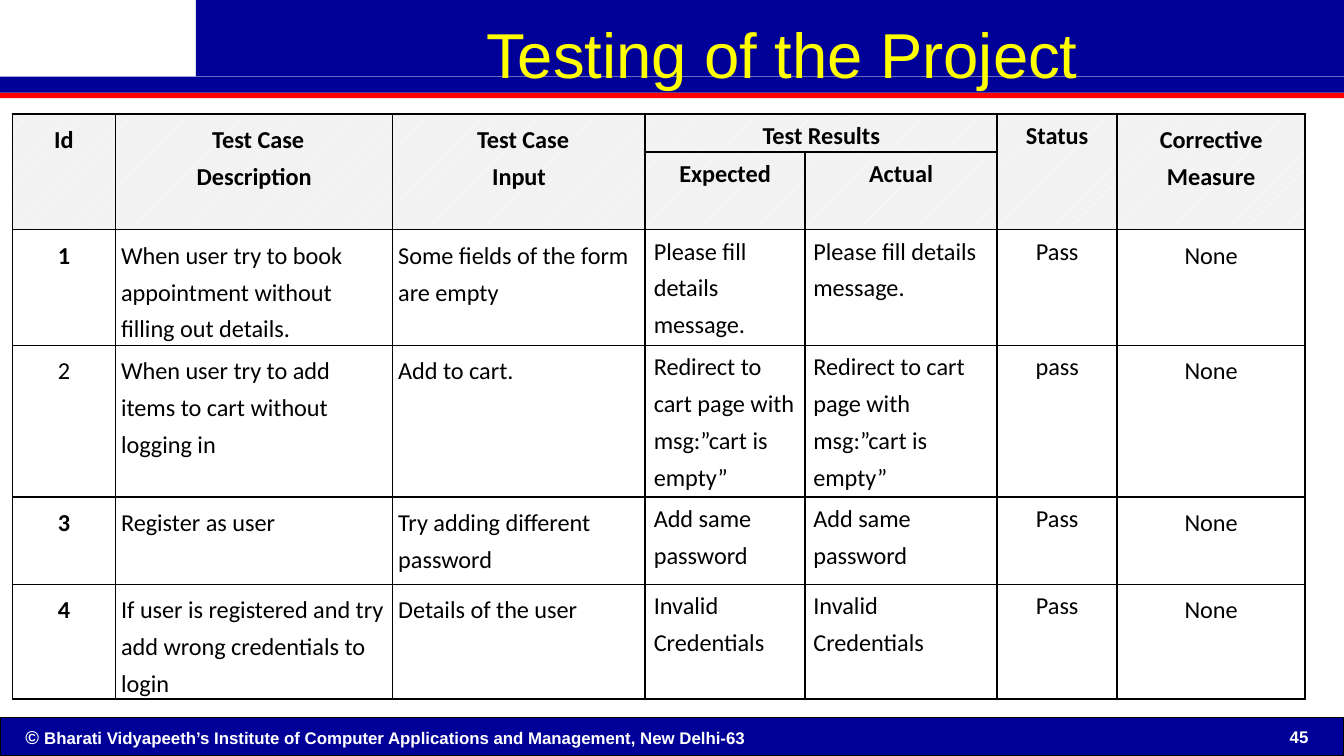
from lxml import etree
from pptx import Presentation
from pptx.dml.color import RGBColor
from pptx.enum.dml import MSO_PATTERN
from pptx.enum.shapes import MSO_SHAPE
from pptx.enum.text import MSO_ANCHOR, PP_ALIGN
from pptx.oxml.ns import qn
from pptx.util import Pt

LEFT, CENTER, RIGHT = PP_ALIGN.LEFT, PP_ALIGN.CENTER, PP_ALIGN.RIGHT
TOP, MIDDLE = MSO_ANCHOR.TOP, MSO_ANCHOR.MIDDLE
RECTANGLE = MSO_SHAPE.RECTANGLE
DOTTED = MSO_PATTERN.PERCENT_5

COLORS = {
    "navy": "000099", "red": "FF0000", "yellow": "FFFF00",
    "white": "FFFFFF", "black": "000000", "gray": "F2F2F2",
}
WIDTH, HEIGHT = 720, 405


def color(name):
    return RGBColor.from_string(COLORS[name])


def add_span(para, text, color_name, **formats):
    span = para.add_run()
    span.text = text
    span.font.color.rgb = color(color_name)
    for name, value in formats.items():
        setattr(span.font, name, value)


deck = Presentation()
deck.slide_width, deck.slide_height = Pt(WIDTH), Pt(HEIGHT)
page = deck.slides.add_slide(deck.slide_layouts[6])

# Header and footer bands
bands = [
    (0, 49.7, WIDTH, 2.9, "red", None),
    (105, 0, 615, 41, "navy", None),
    (0, 41, WIDTH, 8.7, "navy", None),
    (0, 384.5, WIDTH, 20.5, "navy", "black"),
]
for left, top, width, height, fill, outline in bands:
    band = page.shapes.add_shape(RECTANGLE, Pt(left), Pt(top), Pt(width), Pt(height))
    band.shadow.inherit = False
    band.fill.solid()
    band.fill.fore_color.rgb = color(fill)
    if outline:
        band.line.color.rgb = color(outline)
        band.line.width = Pt(0.75)
    else:
        band.line.fill.background()

# Title, copyright line and page number
labels = [
    ((118, 1.4, 602, 39.6), 6.5, TOP, CENTER, "yellow", False,
     [("Testing of the Project", 34)]),
    ((6.5, 386, 622, 18), 3, TOP, LEFT, "white", True,
     [("© ", 10),
      ("Bharati Vidyapeeth’s Institute of Computer Applications and Management, New Delhi-63", 9)]),
    ((593.5, 385.5, 114.5, 18), 3, MIDDLE, RIGHT, "white", True, [("45", 9)]),
]
for bounds, inset, anchor, align, color_name, bold, spans in labels:
    box = page.shapes.add_textbox(*map(Pt, bounds))
    frame = box.text_frame
    frame.word_wrap = True
    frame.vertical_anchor = anchor
    frame.margin_top, frame.margin_bottom = Pt(inset), Pt(3)
    para = frame.paragraphs[0]
    para.alignment = align
    for text, size in spans:
        add_span(para, text, color_name, name="Arial", size=Pt(size), bold=bold)

# Test case table
ROWS = [
    ["Id", "Test Case\nDescription", "Test Case\nInput", "Test Results", "",
     "Status", "Corrective\nMeasure"],
    ["", "", "", "Expected", "Actual", "", ""],
    ["1", "When user try to book appointment without filling out details.",
     "Some fields of the form are empty", "Please fill details message.",
     "Please fill details message.", "Pass", "None"],
    ["2", "When user try to add items to cart without logging in", "Add to cart.",
     "Redirect to cart page with msg:”cart is empty”",
     "Redirect to cart page with msg:”cart is empty”", "pass", "None"],
    ["3", "Register as user", "Try adding different password",
     "Add same password", "Add same password", "Pass", "None"],
    ["4", "If user is registered and try add wrong credentials to login",
     "Details of the user", "Invalid Credentials", "Invalid Credentials", "Pass", "None"],
]
COLUMN_WIDTHS = [55.3, 148.5, 135.3, 85.5, 103.1, 64.2, 100.8]
ROW_HEIGHTS = [20.3, 41.5, 62.1, 81.1, 46.9, 61.3]
HEADER_ROWS = 2
CENTERED_COLUMNS = (0, 5, 6)
RESULT_COLUMNS = (3, 4, 5)
BOLD_IDS = ("1", "3", "4")

holder = page.shapes.add_table(
    len(ROWS), len(COLUMN_WIDTHS), Pt(6.6), Pt(61.2),
    Pt(sum(COLUMN_WIDTHS)), Pt(sum(ROW_HEIGHTS)))
table = holder.table
table.first_row = table.horz_banding = False
for column, width in zip(table.columns, COLUMN_WIDTHS):
    column.width = Pt(width)
for row, height in zip(table.rows, ROW_HEIGHTS):
    row.height = Pt(height)

for row_index, texts in enumerate(ROWS):
    is_header = row_index < HEADER_ROWS
    for column_index, text in enumerate(texts):
        cell = table.cell(row_index, column_index)
        is_result = column_index in RESULT_COLUMNS
        side, top = (4.6, 0) if is_result else (3, 2.2)
        margins = {"margin_left": side, "margin_right": side,
                   "margin_top": top, "margin_bottom": 0}
        for name, value in margins.items():
            setattr(cell, name, Pt(value))

        properties = cell._tc.get_or_add_tcPr()
        for edge in ("a:lnL", "a:lnR", "a:lnT", "a:lnB"):
            border = etree.SubElement(properties, qn(edge), w=str(Pt(1)))
            paint = etree.SubElement(border, qn("a:solidFill"))
            etree.SubElement(paint, qn("a:srgbClr"), val=COLORS["black"])
        if is_header:
            cell.fill.patterned()
            cell.fill.pattern = DOTTED
            cell.fill.fore_color.rgb = color("white")
            cell.fill.back_color.rgb = color("gray")
        else:
            cell.fill.background()

        centered = is_header or column_index in CENTERED_COLUMNS
        bold = is_header or text in BOLD_IDS
        frame = cell.text_frame
        for line_index, line in enumerate(text.split("\n")):
            para = frame.add_paragraph() if line_index else frame.paragraphs[0]
            para.alignment = CENTER if centered else LEFT
            para.line_spacing = 1.25
            para.font.size = Pt(13)
            if line == "Test Case":
                para._p.get_or_add_pPr().set("marL", str(Pt(4.3)))
            if line:
                add_span(para, line, "black", name="Calibri", size=Pt(13), bold=bold)

for column_index in (0, 1, 2, 5, 6):
    table.cell(0, column_index).merge(table.cell(1, column_index))
table.cell(0, 3).merge(table.cell(0, 4))

deck.save("out.pptx")
